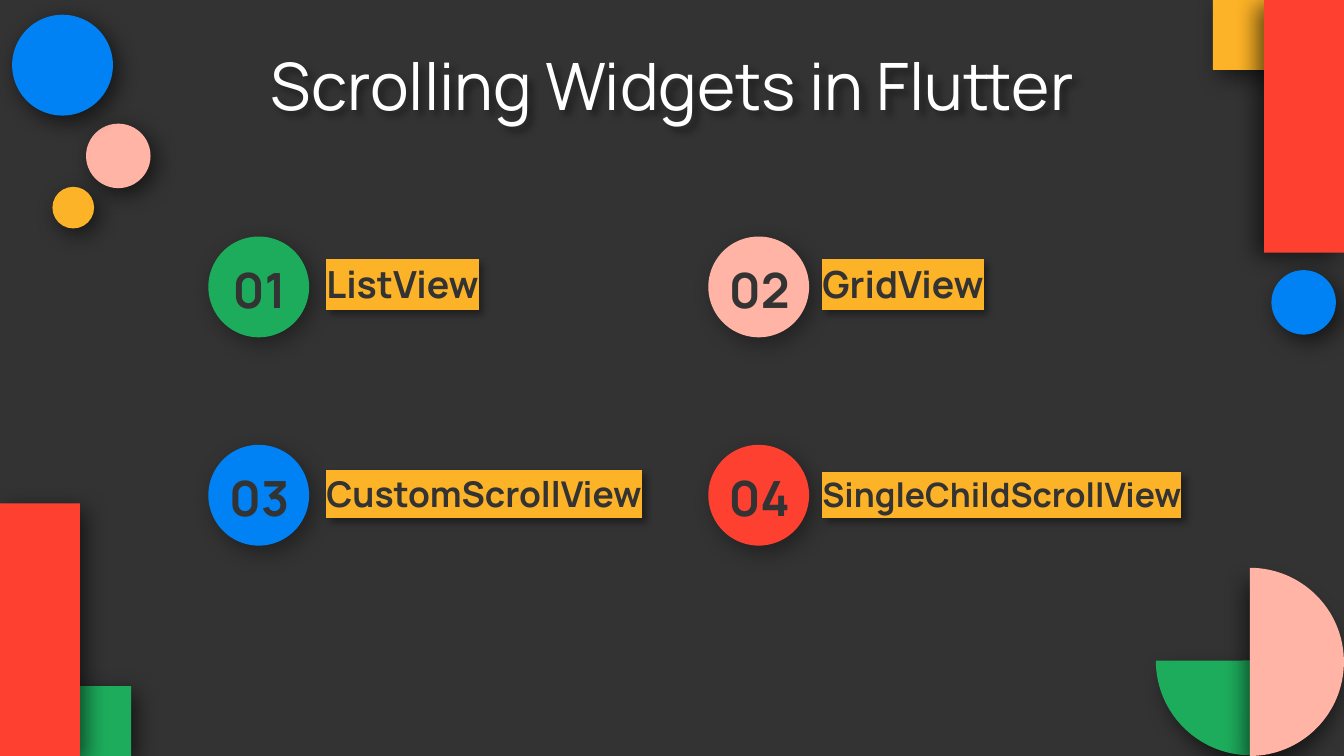
import pptx
import pptx.util
import pptx.dml.color
import pptx.enum.shapes
import pptx.enum.text
import pptx.oxml
import pptx.oxml.ns

SHAPE = pptx.enum.shapes.MSO_SHAPE
ALIGN = pptx.enum.text.PP_ALIGN
ANCHOR = pptx.enum.text.MSO_ANCHOR
FIT = pptx.enum.text.MSO_AUTO_SIZE
COLOURS = {"dark": "333333", "white": "FFFFFF", "red": "FE4031", "blue": "0082F4",
           "green": "1DAC5C", "yellow": "FDB327", "pink": "FFB4A6"}
RGB = {name: pptx.dml.color.RGBColor.from_string(code) for name, code in COLOURS.items()}
NS = pptx.oxml.ns.nsdecls("a")

# Slide on a grid of square cells, 100 columns wide
deck = pptx.Presentation()
deck.slide_width = pptx.util.Inches(10)
deck.slide_height = deck.slide_width * 9 // 16
cell = deck.slide_width / 100
slide = deck.slides.add_slide(deck.slide_layouts[5])
slide.background.fill.solid()
slide.background.fill.fore_color.rgb = RGB["dark"]


def add_block(kind, colour, box, alpha=59, distance=4.5, angle=50):
    """Add a borderless filled shape with a soft shadow."""
    block = slide.shapes.add_shape(kind, *(round(v * cell) for v in box))
    block.fill.solid()
    block.fill.fore_color.rgb = RGB[colour]
    block.line.fill.background()
    add_shadow = pptx.oxml.parse_xml(
        f'<a:effectLst {NS}><a:outerShdw blurRad="{pptx.util.Pt(12.4)}" dist="{pptx.util.Pt(distance)}" '
        f'dir="{angle * 60000}" algn="bl" rotWithShape="0"><a:srgbClr val="000000">'
        f'<a:alpha val="{alpha * 1000}"/></a:srgbClr></a:outerShdw></a:effectLst>')
    block.element.spPr.append(add_shadow)
    return block


def write(holder, words, box, size, colour, frame_format, align, bold=False, highlight=None, shadow=False):
    """Place a text holder and set its single line of text."""
    holder.left, holder.top, holder.width, holder.height = (round(v * cell) for v in box)
    frame = holder.text_frame
    inset = round(cell)
    values = {"margin_left": inset, "margin_top": inset, "margin_right": inset,
              "margin_bottom": inset, "word_wrap": True, **frame_format}
    for name, value in values.items():
        setattr(frame, name, value)
    line = frame.paragraphs[0]
    line.alignment = align
    run = line.add_run()
    run.text = words
    for name, value in {"name": "Manrope", "size": pptx.util.Pt(size), "bold": bold}.items():
        setattr(run.font, name, value)
    run.font.color.rgb = RGB[colour]
    if highlight:
        fill = run.font._element.find(pptx.oxml.ns.qn("a:solidFill"))
        fill.addnext(pptx.oxml.parse_xml(
            f'<a:highlight {NS}><a:srgbClr val="{COLOURS[highlight]}"/></a:highlight>'))
    if shadow:
        holder.element.spPr.append(pptx.oxml.parse_xml(
            f'<a:effectLst {NS}><a:outerShdw blurRad="{pptx.util.Pt(4)}" dist="{pptx.util.Pt(3)}" '
            f'dir="2700000" algn="tl" rotWithShape="0"><a:srgbClr val="000000">'
            f'<a:alpha val="40000"/></a:srgbClr></a:outerShdw></a:effectLst>'))


# Corner decorations, back to front
for kind, colour, box in [
    (SHAPE.OVAL, "pink", (6.4, 9.2, 4.8, 4.8)),
    (SHAPE.OVAL, "blue", (0.9, 1.1, 7.5, 7.5)),
    (SHAPE.OVAL, "yellow", (3.9, 13.9, 3.1, 3.1)),
    (SHAPE.RECTANGLE, "green", (3.85, 51.05, 5.9, 5.2)),
    (SHAPE.RECTANGLE, "red", (0, 37.45, 5.95, 18.8)),
]:
    add_block(kind, colour, box)

# Quarter and half discs: start and end angles in degrees
for colour, box, start, end, angle in [
    ("green", (86, 42.1, 14.1, 14.1), 90, 180, 50),
    ("pink", (86, 42.25, 14, 14), 270, 90, 107),
]:
    disc = add_block(SHAPE.PIE, colour, box, distance=7.5, angle=angle)
    disc.adjustments[0] = start * 0.6
    disc.adjustments[1] = end * 0.6

add_block(SHAPE.RECTANGLE, "yellow", (90.25, 0, 5.9, 5.2))
add_block(SHAPE.RECTANGLE, "red", (94.05, 0, 5.95, 18.8), angle=149)
add_block(SHAPE.OVAL, "blue", (94.6, 20.1, 4.8, 4.8))

# Title
write(slide.shapes.title, "Scrolling Widgets in Flutter", (7.9, 2.3, 84.3, 7.9), 35, "white",
      {"vertical_anchor": ANCHOR.MIDDLE, "auto_size": FIT.SHAPE_TO_FIT_TEXT}, ALIGN.CENTER, shadow=True)

# Numbered widgets, two columns by two rows
first_left, first_top, column, row, badge = 15.5, 17.6, 37.2, 15.5, 7.5
widgets = [("ListView", "green", 20, 24.5, 5.4, 0), ("GridView", "pink", 20, 24.5, 5.4, 0),
           ("CustomScrollView", "blue", 19, 26.7, 5.2, 0),
           ("SingleChildScrollView", "red", 18, 34.5, 5, 5)]
for index, (widget, colour, size, width, height, right_inset) in enumerate(widgets):
    left = first_left + index % 2 * column
    top = first_top + index // 2 * row
    add_block(SHAPE.OVAL, colour, (left, top, badge, badge), alpha=37)
    label_left = left + (7.5 if index % 2 else 7.8)
    write(slide.shapes.add_textbox(0, 0, 0, 0), widget,
          (label_left, top + 6.2 - height, width, height), size, "dark",
          {"vertical_anchor": ANCHOR.BOTTOM, "auto_size": FIT.SHAPE_TO_FIT_TEXT,
           "margin_right": round(right_inset * cell)},
          ALIGN.LEFT, bold=True, highlight="yellow", shadow=True)
    write(slide.shapes.add_textbox(0, 0, 0, 0), f"{index + 1:02}",
          (left - 0.2, top + 1.6, 8, 4.6), 26, "dark",
          {"vertical_anchor": ANCHOR.MIDDLE, "auto_size": FIT.NONE}, ALIGN.CENTER, bold=True)

deck.save("out.pptx")
